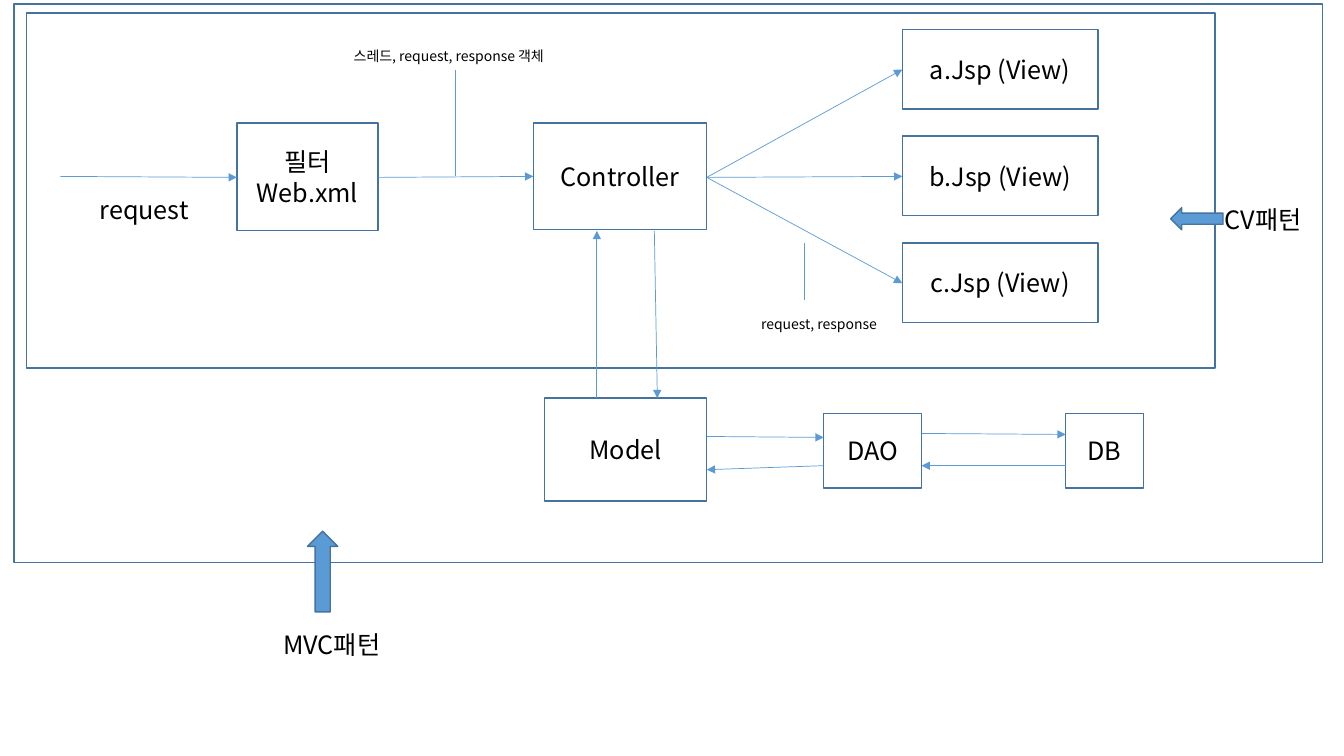
from lxml.etree import SubElement
from pptx import Presentation
from pptx.dml.color import RGBColor
from pptx.enum.shapes import MSO_CONNECTOR, MSO_SHAPE
from pptx.enum.text import MSO_ANCHOR, MSO_AUTO_SIZE, PP_ALIGN
from pptx.oxml.ns import qn
from pptx.util import Inches, Pt

COLORS = {"text": "000000", "edge": "43739E", "main": "5B9BD5"}
FONT = "Noto Sans CJK KR"
BOX = {"word_wrap": True, "vertical_anchor": MSO_ANCHOR.MIDDLE}
LABEL = {"word_wrap": True, "auto_size": MSO_AUTO_SIZE.SHAPE_TO_FIT_TEXT}


def color(name):
    """Return a named color."""
    return RGBColor.from_string(COLORS[name])


def apply(target, values):
    """Set each format value on the target."""
    for key, value in values.items():
        setattr(target, key, value)


class Board:
    """Holds the style and the current slide."""

    def __init__(self, slide):
        """Keep the shapes of the slide."""
        self.shapes = slide.shapes

    def put_text(self, frame, text, form, size=18, align=PP_ALIGN.LEFT):
        """Fill a text frame, one paragraph a line."""
        apply(frame, form)
        for i, line in enumerate(text.split("\n")):
            para = frame.add_paragraph() if i else frame.paragraphs[0]
            para.alignment = align
            run = para.add_run()
            run.text = line
            apply(run.font, {"name": FONT, "size": Pt(size)})
            run.font.color.rgb = color("text")
            SubElement(run.font._element, qn("a:ea"), typeface=FONT)

    def shape(self, kind, area, fill=None, turn=0):
        """Add an outlined preset shape."""
        shape = self.shapes.add_shape(kind, *map(Inches, area))
        shape.shadow.inherit = False
        shape.rotation = turn
        if fill:
            shape.fill.solid()
            shape.fill.fore_color.rgb = color(fill)
        else:
            shape.fill.background()
        shape.line.color.rgb = color("edge")
        shape.line.width = Pt(1)
        return shape

    def box(self, area, text=""):
        """Add a hollow box with centred text."""
        shape = self.shape(MSO_SHAPE.RECTANGLE, area)
        if text:
            self.put_text(shape.text_frame, text, BOX, align=PP_ALIGN.CENTER)

    def label(self, area, text, size=18):
        """Add a free text."""
        box = self.shapes.add_textbox(*map(Inches, area))
        self.put_text(box.text_frame, text, LABEL, size)

    def line(self, ends, head=True):
        """Add a thin line, with an arrowhead at its end if asked."""
        link = self.shapes.add_connector(
            MSO_CONNECTOR.STRAIGHT, *map(Inches, ends))
        link.line.color.rgb = color("main")
        link.line.width = Pt(0.5)
        props = link._element.spPr
        if head:
            SubElement(props.find(qn("a:ln")), qn("a:tailEnd"),
                       type="triangle")
        SubElement(props, qn("a:effectLst"))


deck = Presentation()
apply(deck, {"slide_width": Inches(13.33), "slide_height": Inches(7.5)})
board = Board(deck.slides.add_slide(deck.slide_layouts[6]))

# Frames of the two patterns
board.box((0.14, 0.04, 12.98, 5.54))
board.box((0.26, 0.13, 11.79, 3.52))

# Parts of the flow
for area, text in [
    ((2.35, 1.22, 1.4, 1.07), "필터\nWeb.xml"),
    ((5.29, 1.22, 1.72, 1.06), "Controller"),
    ((5.4, 3.95, 1.61, 1.02), "Model"),
    ((8.17, 4.1, 0.97, 0.74), "DAO"),
    ((10.57, 4.1, 0.77, 0.74), "DB"),
]:
    board.box(area, text)

# Views, each reached from the controller
for i, (name, end) in enumerate(zip("abc", (0.69, 1.75, 2.81))):
    board.box((8.95, 0.29 + 1.06 * i, 1.94, 0.79), f"{name}.Jsp (View)")
    board.line((7.01, 1.76, 8.95, end))

# Calls and replies
for ends in [
    (0.6, 1.75, 2.35, 1.76),
    (3.75, 1.76, 5.29, 1.75),
    (6.49, 2.29, 6.52, 3.95),
    (5.92, 3.95, 5.92, 2.29),
    (7.01, 4.33, 8.17, 4.34),
    (8.17, 4.62, 7.01, 4.66),
    (9.14, 4.3, 10.57, 4.31),
    (10.57, 4.62, 9.14, 4.62),
]:
    board.line(ends)

# Note leaders
for ends in [(4.52, 0.69, 4.52, 1.75), (7.98, 2.41, 7.98, 2.98)]:
    board.line(ends, head=False)

for area, text, size in [
    ((0.89, 1.88, 1.16, 0.4), "request", 18),
    ((3.41, 0.42, 3.78, 0.27), "스레드, request, response 객체", 10),
    ((7.45, 3.08, 2.04, 0.27), "request, response", 10),
    ((12.05, 1.98, 1.17, 0.4), "CV패턴", 18),
    ((2.71, 6.19, 1.28, 0.4), "MVC패턴", 18),
]:
    board.label(area, text, size)

# Pattern pointers
for kind, area in [
    (MSO_SHAPE.RIGHT_ARROW, (11.61, 2.06, 0.52, 0.22)),
    (MSO_SHAPE.DOWN_ARROW, (3.05, 5.27, 0.3, 0.8)),
]:
    board.shape(kind, area, fill="main", turn=180)

deck.save("out.pptx")
